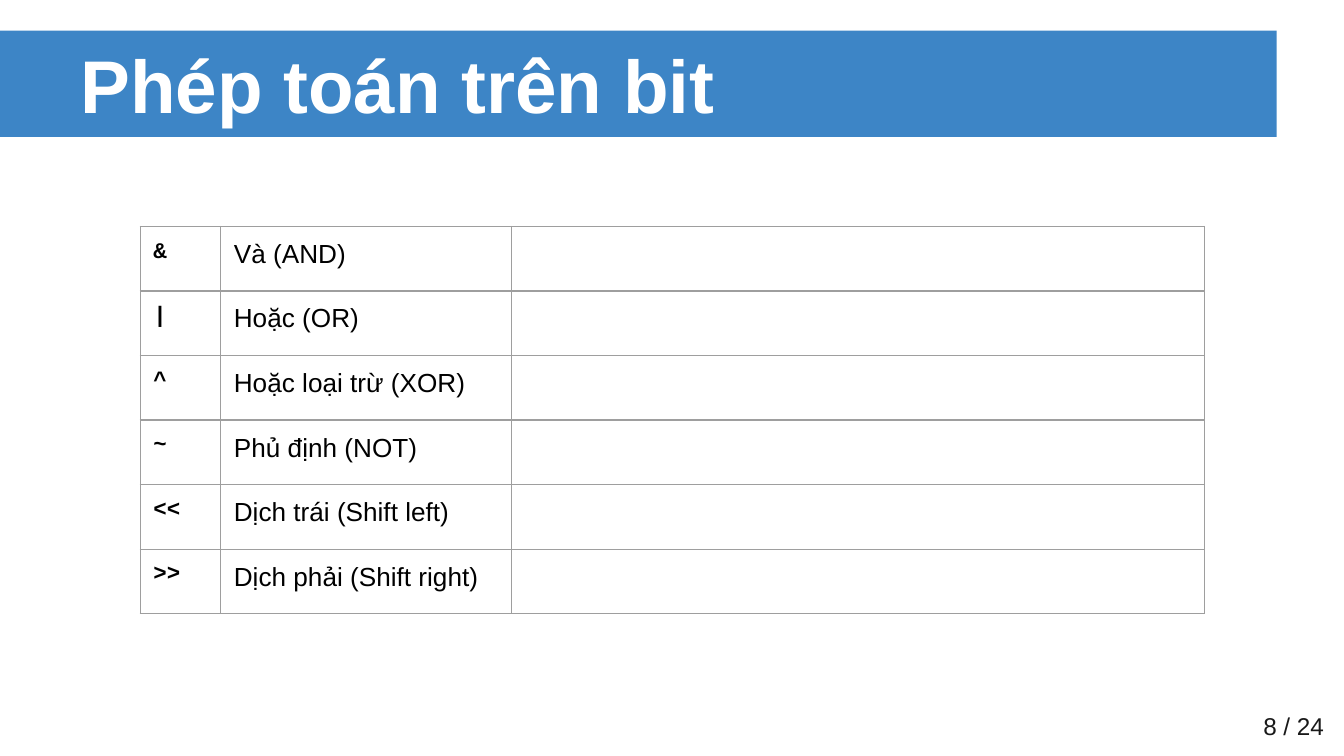
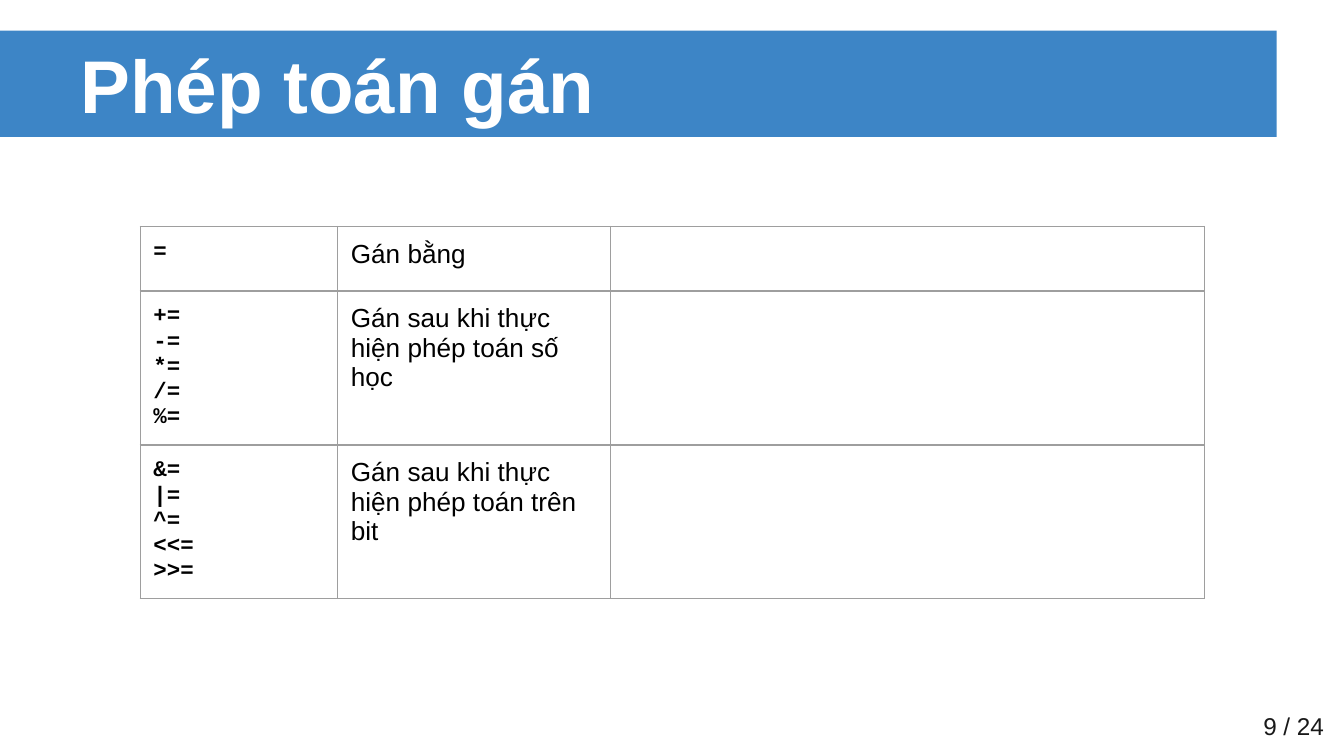
from lxml import etree
from pptx import Presentation
from pptx.dml.color import RGBColor
from pptx.enum.shapes import MSO_SHAPE
from pptx.enum.text import MSO_ANCHOR, MSO_AUTO_SIZE, PP_ALIGN
from pptx.oxml.ns import qn
from pptx.util import Cm, Pt

RECT = MSO_SHAPE.RECTANGLE
MIDDLE = MSO_ANCHOR.MIDDLE
LEFT, RIGHT = PP_ALIGN.LEFT, PP_ALIGN.RIGHT
FIXED = MSO_AUTO_SIZE.NONE

BLUE, WHITE, BLACK = "3D85C6", "FFFFFF", "000000"
GREY, DARK = "9E9E9E", "191919"
SANS, MONO = "Arial", "Courier New"
INSET = Cm(0.25)
BAND_TOP, BAND_HIGH = Cm(0.58), Cm(2.01)
TABLE_LEFT, TABLE_TOP = Cm(2.65), Cm(4.28)
ROW, TALL_ROW = 1.22, 2.91
TOTAL = 24

BIT_ROWS = [
    ("&", "Và (AND)"),
    ("|", "Hoặc (OR)"),
    ("^", "Hoặc loại trừ (XOR)"),
    ("~", "Phủ định (NOT)"),
    ("<<", "Dịch trái (Shift left)"),
    (">>", "Dịch phải (Shift right)"),
]
ASSIGN_ROWS = [
    ("=", "Gán bằng"),
    ("+= -= *= /= %=", "Gán sau khi thực hiện phép toán số học"),
    ("&= |= ^= <<= >>=", "Gán sau khi thực hiện phép toán trên bit"),
]


def rgb(code):
    return RGBColor.from_string(code)


def add_run(para, text, size, color, font=SANS, bold=False):
    run = para.add_run()
    run.text = text
    run.font.size = Pt(size)
    run.font.name = font
    run.font.bold = bold
    run.font.color.rgb = rgb(color)


def set_frame(frame, align):
    """Centre a one-line frame vertically, with even insets."""
    frame.word_wrap = True
    frame.auto_size = FIXED
    frame.vertical_anchor = MIDDLE
    frame.margin_left = frame.margin_right = INSET
    frame.margin_top = frame.margin_bottom = INSET
    frame.paragraphs[0].alignment = align
    return frame.paragraphs[0]


def add_title(slide, text):
    """Fill the title and lay the blue band behind it."""
    title = slide.shapes.title
    title.left, title.top = Cm(1.27), BAND_TOP
    title.width, title.height = Cm(22.86), BAND_HIGH
    add_run(set_frame(title.text_frame, LEFT), text, 40, WHITE, bold=True)

    band = slide.shapes.add_shape(RECT, 0, BAND_TOP, Cm(24.13), BAND_HIGH)
    band.shadow.inherit = False
    band.fill.solid()
    band.fill.fore_color.rgb = rgb(BLUE)
    band.line.fill.background()
    title._element.addprevious(band._element)


def add_footer(slide, number):
    box = slide.shapes.add_textbox(Cm(22.25), Cm(13.18), Cm(3.02), Cm(1.09))
    add_run(set_frame(box.text_frame, RIGHT), f"{number} / {TOTAL}", 13, DARK)


def style_cell(cell):
    """Give a cell even insets, grey borders and no fill."""
    cell.margin_left = cell.margin_right = INSET
    cell.margin_top = cell.margin_bottom = INSET
    props = cell._tc.get_or_add_tcPr()
    for side in ("lnL", "lnR", "lnT", "lnB"):
        line = etree.SubElement(props, qn("a:" + side), w=str(Pt(0.75)))
        fill = etree.SubElement(line, qn("a:solidFill"))
        etree.SubElement(fill, qn("a:srgbClr"), val=GREY)
    cell.fill.background()


def fill_cell(cell, lines, size, font, bold):
    frame = cell.text_frame
    for i, text in enumerate(lines):
        para = frame.add_paragraph() if i else frame.paragraphs[0]
        add_run(para, text, size, BLACK, font, bold)


def clear_cell(cell):
    """Keep an empty cell's line from stretching its row."""
    para = cell.text_frame.paragraphs[0]._p
    etree.SubElement(para, qn("a:endParaRPr"), sz="1400")


def add_table(slide, rows, widths):
    """Draw symbol and meaning columns, then an empty one."""
    highs = [TALL_ROW if " " in signs else ROW for signs, _ in rows]
    table = slide.shapes.add_table(
        len(rows), len(widths), TABLE_LEFT, TABLE_TOP,
        Cm(sum(widths)), Cm(sum(highs))).table
    table.first_row = table.horz_banding = False
    for col, width in zip(table.columns, widths):
        col.width = Cm(width)
    for row, high, (signs, meaning) in zip(table.rows, highs, rows):
        row.height = Cm(high)
        for cell in row.cells:
            style_cell(cell)
        fill_cell(row.cells[0], signs.split(), 12, MONO, True)
        fill_cell(row.cells[1], [meaning], 14, SANS, False)
        clear_cell(row.cells[2])


def add_page(deck, number, title, rows, widths):
    slide = deck.slides.add_slide(deck.slide_layouts[5])
    slide.background.fill.solid()
    slide.background.fill.fore_color.rgb = rgb(WHITE)
    add_title(slide, title)
    add_table(slide, rows, widths)
    add_footer(slide, number)


def main():
    deck = Presentation()
    deck.slide_width, deck.slide_height = Cm(25.4), Cm(14.29)
    add_page(deck, 8, "Phép toán trên bit", BIT_ROWS, (1.52, 5.49, 13.11))
    add_page(deck, 9, "Phép toán gán", ASSIGN_ROWS, (3.73, 5.16, 11.23))
    deck.save("out.pptx")


if __name__ == "__main__":
    main()
